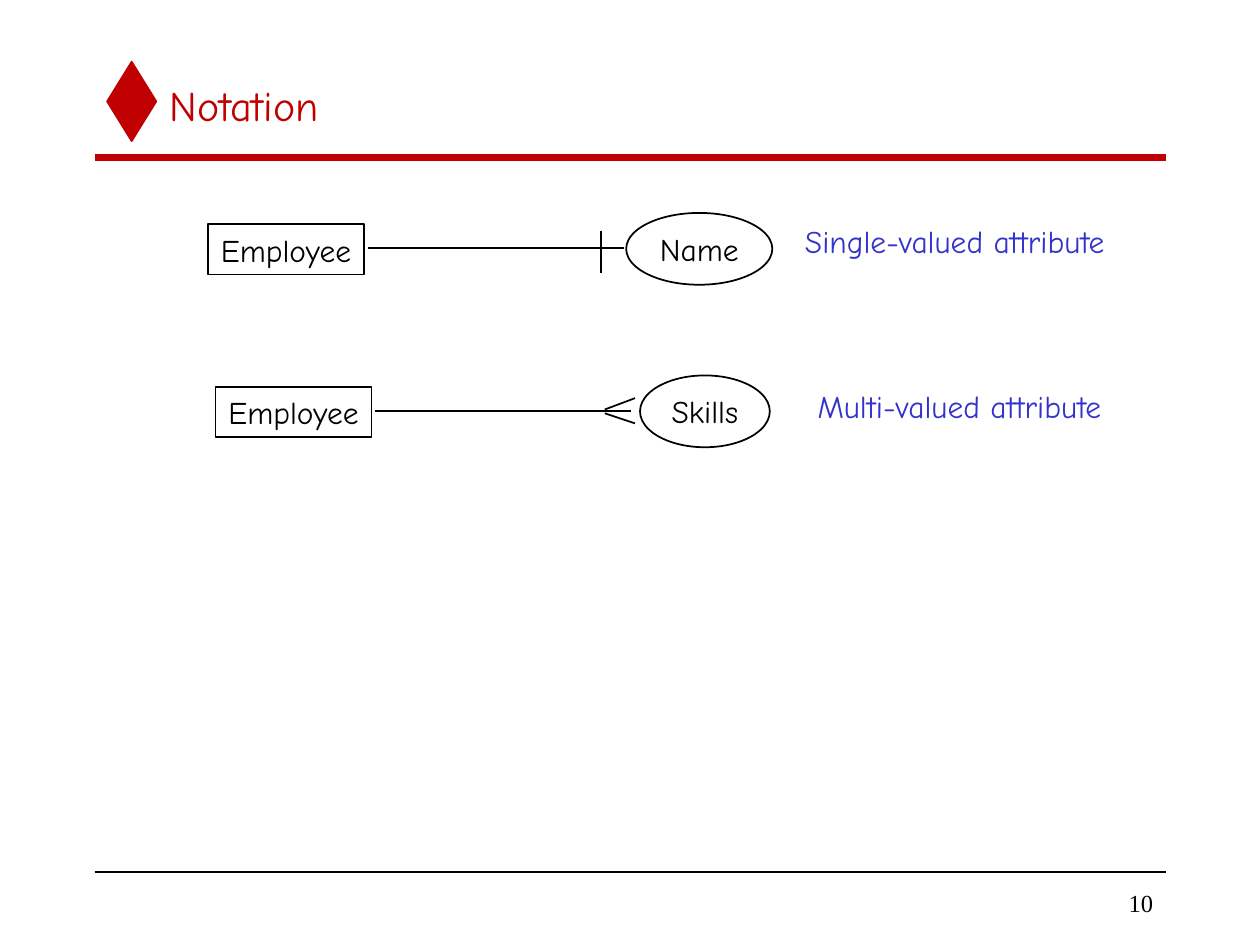
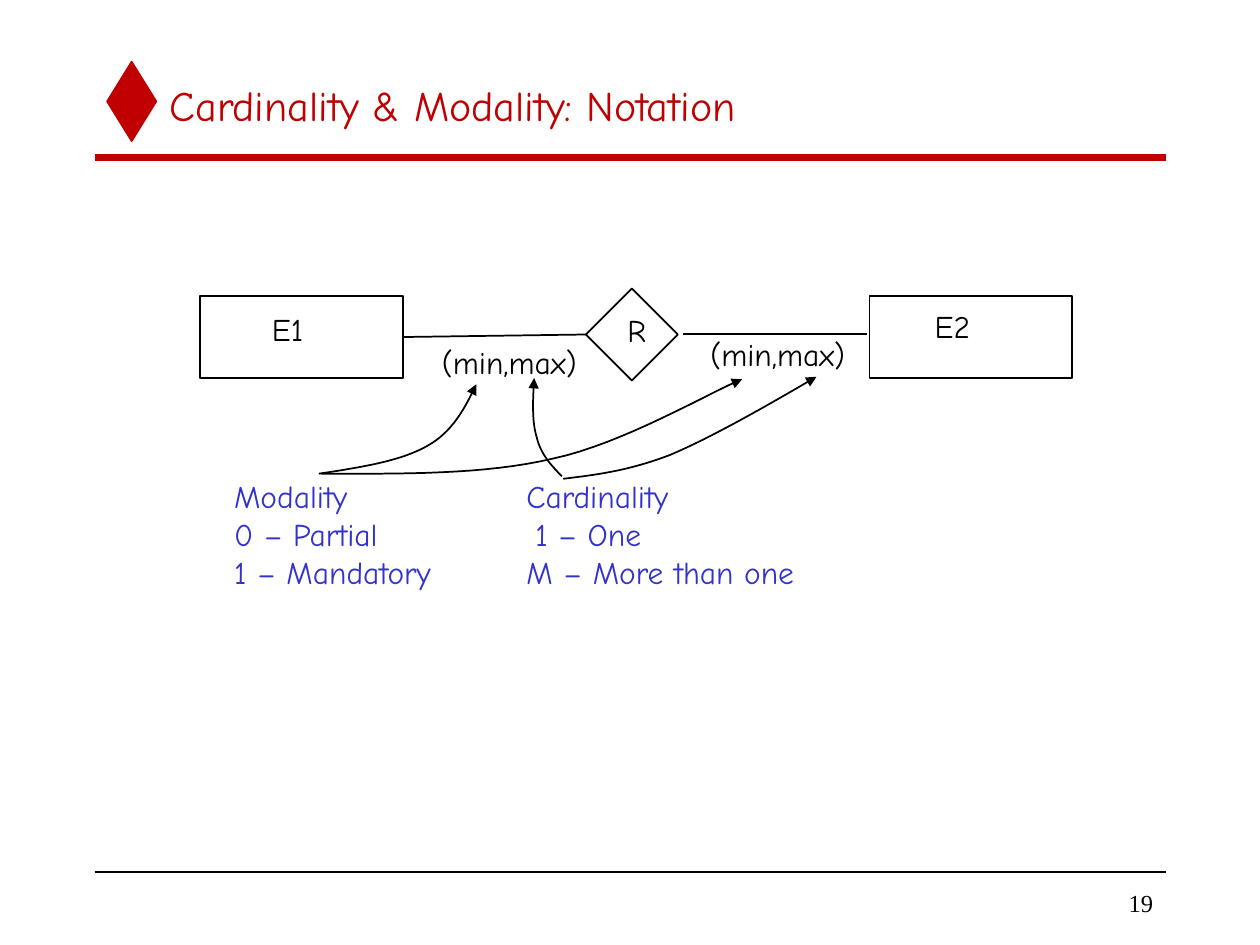
from pptx import Presentation
from pptx.dml.color import RGBColor
from pptx.enum.shapes import MSO_CONNECTOR, MSO_SHAPE
from pptx.enum.text import MSO_ANCHOR, PP_ALIGN
from pptx.oxml.ns import qn
from pptx.util import Inches, Pt
from lxml.etree import SubElement

COLORS = {"accent": "C00000", "ink": "000000", "note": "3333CC"}
FONT = "Comic Neue"
NUMBER_FONT = "Times New Roman"


def rgb(name):
    return RGBColor.from_string(COLORS[name])


# Shared drawing helpers
def write(tf, lines, color="ink", size=18, font=FONT, align=PP_ALIGN.LEFT,
          anchor=MSO_ANCHOR.TOP, wrap=False):
    tf.word_wrap = wrap
    tf.vertical_anchor = anchor
    for i, line in enumerate(lines):
        p = tf.paragraphs[0] if i == 0 else tf.add_paragraph()
        p.text = line
        p.alignment = align
        p.font.name = font
        p.font.size = Pt(size)
        p.font.color.rgb = rgb(color)


def add_text(s, x, y, w, h, *lines, **style):
    tf = s.shapes.add_textbox(Inches(x), Inches(y), Inches(w), Inches(h)).text_frame
    write(tf, lines, **style)
    return tf


def add_outline(s, kind, x, y, w, h, text=None, fill=None, color="ink"):
    sp = s.shapes.add_shape(kind, Inches(x), Inches(y), Inches(w), Inches(h))
    sp.shadow.inherit = False
    if fill:
        sp.fill.solid()
        sp.fill.fore_color.rgb = rgb(fill)
    else:
        sp.fill.background()
    sp.line.color.rgb = rgb(color)
    sp.line.width = Pt(1)
    if text:
        write(sp.text_frame, [text], align=PP_ALIGN.CENTER, anchor=MSO_ANCHOR.MIDDLE)
    return sp


def add_line(s, x1, y1, x2, y2, color="ink", width=1):
    line = s.shapes.add_connector(MSO_CONNECTOR.STRAIGHT, Inches(x1), Inches(y1),
                                  Inches(x2), Inches(y2))
    line.line.color.rgb = rgb(color)
    line.line.width = Pt(width)
    SubElement(line._element.spPr, qn("a:effectLst"))
    return line


def bezier(p0, p1, p2, p3, steps=16):
    for i in range(1, steps + 1):
        t = i / steps
        u = 1 - t
        yield tuple(u**3 * a + 3 * u * u * t * b + 3 * u * t * t * c + t**3 * d
                    for a, b, c, d in zip(p0, p1, p2, p3))


def add_curved_arrow(s, x, y, points):
    """Draw chained cubic curves from (x, y); points are offsets from there."""
    nodes = [(0, 0)] + points
    path = []
    for i in range(0, len(points), 3):
        path += bezier(*nodes[i:i + 4])
    builder = s.shapes.build_freeform(Inches(x), Inches(y))
    builder.add_line_segments([(Inches(x + dx), Inches(y + dy)) for dx, dy in path],
                              close=False)
    sp = builder.convert_to_shape()
    sp.shadow.inherit = False
    sp.fill.background()
    sp.line.color.rgb = rgb("ink")
    sp.line.width = Pt(1)
    SubElement(sp.line._get_or_add_ln(), qn("a:tailEnd"), type="triangle")


# Title, rules and page number
def add_frame(prs, title, number):
    s = prs.slides.add_slide(prs.slide_layouts[6])
    add_outline(s, MSO_SHAPE.DIAMOND, 0.85, 0.49, 0.39, 0.63,
                fill="accent", color="accent")
    add_line(s, 0.75, 1.25, 9.25, 1.25, "accent", 4)
    add_line(s, 0.75, 6.92, 9.25, 6.92)
    add_text(s, 7.83, 7, 1.42, 0.33, str(number), size=14, font=NUMBER_FONT,
             align=PP_ALIGN.RIGHT, anchor=MSO_ANCHOR.MIDDLE, wrap=True)
    add_text(s, 1.25, 0.5, 8, 0.67, title, color="accent", size=24,
             anchor=MSO_ANCHOR.MIDDLE, wrap=True)
    return s


# Entity, link and attribute, placed from the entity's top left corner
def add_attribute_row(s, x, y, attribute, oval, marks, note, note_box):
    oval_x, oval_w = oval
    note_x, note_y, note_w = note_box
    add_outline(s, MSO_SHAPE.RECTANGLE, x, y, 1.24, 0.4, "Employee")
    add_outline(s, MSO_SHAPE.OVAL, x + oval_x, y - 0.09, oval_w, 0.57, attribute)
    add_line(s, x + 1.27, y + 0.19, x + 3.3, y + 0.19)
    for x1, y1, x2, y2 in marks:
        add_line(s, x + x1, y + y1, x + x2, y + y2)
    add_text(s, x + note_x, y + note_y, note_w, 0.4, note, color="note")


def build_notation(prs):
    s = add_frame(prs, "Notation", 10)
    bar = [(3.12, 0.05, 3.12, 0.39)]
    crow_foot = [(3.33, 0.09, 3.09, 0.18), (3.33, 0.29, 3.09, 0.21)]
    add_attribute_row(s, 1.65, 1.78, "Name", (3.32, 1.16), bar,
                      "Single-valued attribute", (4.64, -0.07, 2.59))
    add_attribute_row(s, 1.71, 3.07, "Skills", (3.37, 1.03), crow_foot,
                      "Multi-valued attribute", (4.68, -0.05, 2.46))


# Two entities joined by a relationship
def add_relationship(s, x, y):
    e1, e2 = [add_outline(s, MSO_SHAPE.RECTANGLE, x + dx, y, 1.61, 0.65)
              for dx in (0, 5.31)]
    diamond = add_outline(s, MSO_SHAPE.DIAMOND, x + 3.06, y - 0.06, 0.73, 0.73)
    link = add_line(s, x + 1.61, y + 0.3, x + 3.06, y + 0.3)
    link.begin_connect(e1, 3)
    link.end_connect(diamond, 1)
    add_line(s, x + 3.83, y + 0.3, x + 5.29, y + 0.3)
    for text, dx, dy, w in [("E1", 0.47, 0.06, 0.45), ("R", 3.29, 0.07, 0.35),
                            ("E2", 5.73, 0.04, 0.48), ("(min,max)", 1.82, 0.32, 1.27),
                            ("(min,max)", 3.95, 0.26, 1.27)]:
        add_text(s, x + dx, y + dy, w, 0.4, text)


# Meaning of min and max, with arrows up to them
def add_legend(s, x, y):
    add_text(s, x, y, 2.2, 1, "Modality", "0 – Partial", "1 – Mandatory",
             color="note", wrap=True)
    tf = add_text(s, x + 2.32, y, 2.8, 1, "Cardinality", "1 – One",
                  "M – More than one", color="note", wrap=True)
    tf.paragraphs[1]._p.get_or_add_pPr().set("marL", str(Inches(0.07)))

    arrows = [
        (0.77, 0.02, [(0.33, -0.05), (0.65, -0.1), (0.86, -0.22),
                      (1.06, -0.33), (1.16, -0.52), (1.25, -0.71)]),
        (0.79, 0.02, [(0.64, 0), (1.29, 0.01), (1.84, -0.12),
                      (2.4, -0.24), (3.09, -0.65), (3.34, -0.75)]),
        (2.7, 0.04, [(-0.09, -0.09), (-0.17, -0.18), (-0.2, -0.31),
                     (-0.24, -0.44), (-0.23, -0.61), (-0.22, -0.78)]),
        (2.71, 0.06, [(0.25, -0.03), (0.51, -0.06), (0.85, -0.19),
                      (1.18, -0.33), (1.6, -0.57), (2.01, -0.81)]),
    ]
    for dx, dy, points in arrows:
        add_curved_arrow(s, x + dx, y + dy, points)


def build_cardinality(prs):
    s = add_frame(prs, "Cardinality & Modality: Notation", 19)
    add_relationship(s, 1.59, 2.35)
    add_legend(s, 1.76, 3.74)


def main():
    prs = Presentation()
    prs.slide_width, prs.slide_height = Inches(10), Inches(7.5)
    build_notation(prs)
    build_cardinality(prs)
    prs.save("out.pptx")


if __name__ == "__main__":
    main()
